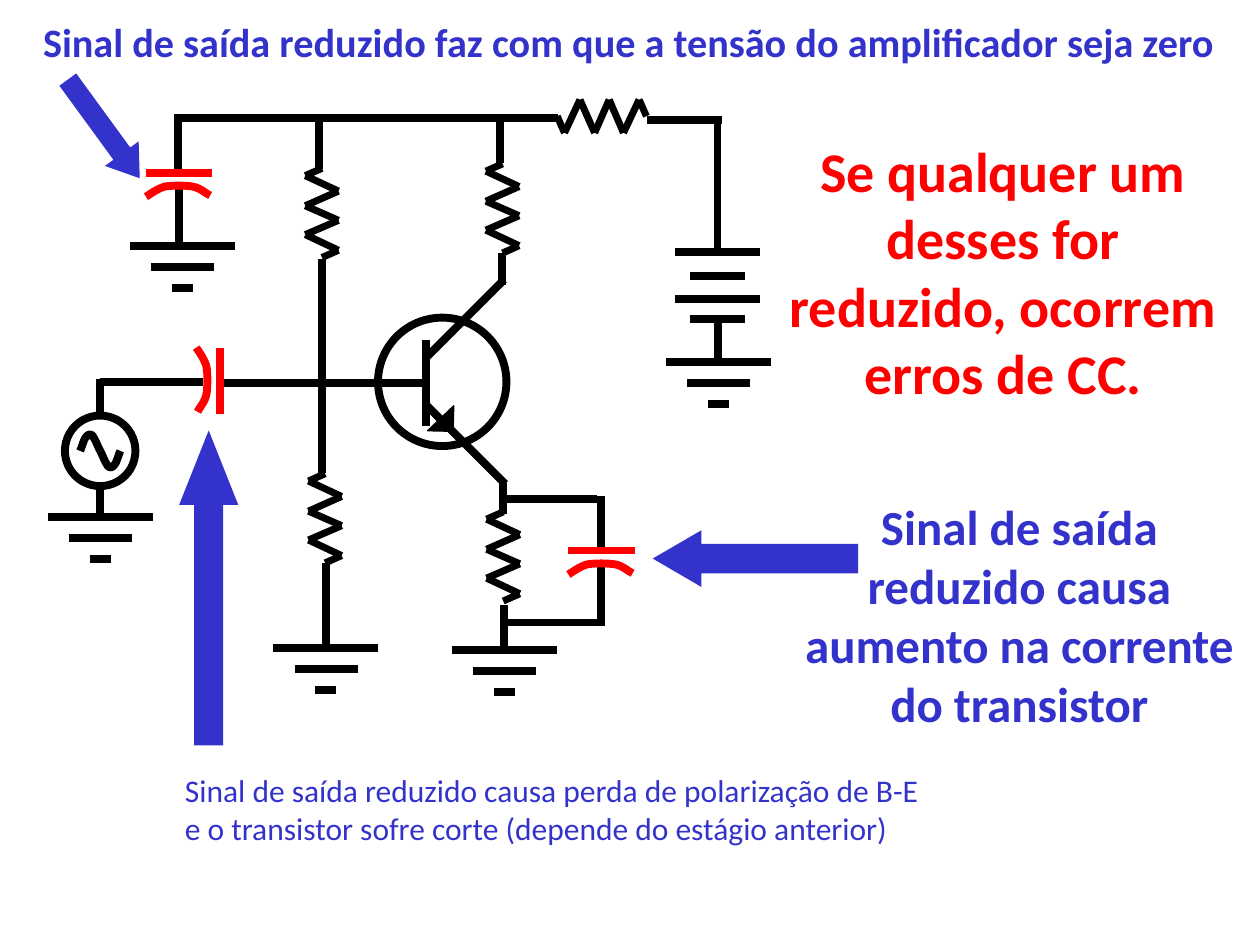
from itertools import pairwise
from lxml.etree import SubElement
from pptx import Presentation
from pptx.dml.color import RGBColor
from pptx.enum.shapes import MSO_CONNECTOR, MSO_SHAPE
from pptx.enum.text import MSO_ANCHOR, MSO_AUTO_SIZE, PP_ALIGN
from pptx.oxml.ns import qn
from pptx.util import Pt

INK = {"wire": "000000", "alert": "FF0000", "note": "3333CC"}
ZIGZAG = [(10, 0), (0.5, 4.2), (19.4, 13), (0.5, 21.4), (19.4, 29.7),
          (0.5, 37.9), (19.4, 46.8), (10, 51)]
PLATE = [(0, 13.7), (1.4, 13), (5.8, 9.4), (10.8, 7.9), (15.1, 7.2),
         (22.3, 7.2), (26.6, 7.9), (31, 8.6), (34.6, 12.2), (36.7, 13)]
WAVE = [(0, 9.4), (0.9, 7.9), (2.2, 2.2), (3.4, 1.4), (4.4, 0), (5, 0),
        (5.8, 0), (6.6, 0), (7.4, 0.7), (8, 2.2), (9, 3.6), (10.6, 8), (11.5, 9.4)]


def color(name):
    """Return the named ink as an RGB colour."""
    return RGBColor.from_string(INK[name])


def apply(item, **values):
    """Set each given attribute on the item."""
    for name, value in values.items():
        setattr(item, name, value)


def stroke(line, ink, width):
    """Give a line its colour and width."""
    line.color.rgb = color(ink)
    line.width = Pt(width)


def wire(shapes, start, end, ink="wire", width=4.5):
    """Draw one straight line between two points."""
    part = shapes.add_connector(MSO_CONNECTOR.STRAIGHT, *map(Pt, start + end))
    stroke(part.line, ink, width)
    SubElement(part._element.spPr, qn("a:effectLst"))


def curve(shapes, knots, ink="wire"):
    """Draw a chain of cubic curves through knots and handles."""
    dots = [(Pt(x), Pt(y)) for x, y in knots]
    maker = shapes.build_freeform(*dots[0])
    maker.add_line_segments(dots[1:], close=False)
    part = maker.convert_to_shape()
    part.shadow.inherit = False
    part.fill.background()
    stroke(part.line, ink, 4.5)
    track = next(part._element.iter(qn("a:path")))
    steps = track.findall(qn("a:lnTo"))
    for i in range(0, len(steps), 3):
        bend = SubElement(track, qn("a:cubicBezTo"))
        for step in steps[i:i + 3]:
            bend.append(step[0])
            track.remove(step)


def ring(shapes, left, top, size):
    """Draw an unfilled circle."""
    part = shapes.add_shape(MSO_SHAPE.OVAL, *map(Pt, (left, top, size, size)))
    part.shadow.inherit = False
    part.fill.background()
    stroke(part.line, "wire", 4.5)


def solid(shapes, kind, box, ink, adjust=(), turn=0):
    """Draw a filled shape with no outline."""
    part = shapes.add_shape(kind, *map(Pt, box))
    part.shadow.inherit = False
    part.fill.solid()
    part.fill.fore_color.rgb = color(ink)
    part.line.fill.background()
    part.rotation = turn
    for i, value in enumerate(adjust):
        part.adjustments[i] = value
    return part


def ground(shapes, mid, top):
    """Draw a ground symbol hanging from its top centre."""
    for row, half in enumerate((30, 18, 6)):
        y = top + 12 * row
        wire(shapes, (mid - half, y), (mid + half, y))


def resist(shapes, left, top, flat=False):
    """Draw a resistor zigzag, upright or flat."""
    dots = [(left + v, top + 19.4 - u) if flat else (left + u, top + v)
            for u, v in ZIGZAG]
    for start, end in pairwise(dots):
        wire(shapes, start, end, width=4)


def cap(shapes, left, top, side=False):
    """Draw a capacitor, its curved plate below or to the left."""
    def place(u, v):
        return (left - v, top + u) if side else (left + u, top + v)
    wire(shapes, place(0, 0), place(38, 0), "alert")
    curve(shapes, [place(u, v) for u, v in PLATE], "alert")


def cell(shapes, mid, top):
    """Draw the battery with its leads and ground."""
    for half, drop in ((24.1, 0), (15.5, 13.4), (24.1, 26.6), (15.5, 38.2)):
        wire(shapes, (mid - half, top + drop), (mid + half, top + drop))
    wire(shapes, (mid + 0.3, top + 40.3), (mid + 0.3, top + 63))
    wire(shapes, (mid, top - 77), (mid, top))
    ground(shapes, mid + 0.6, top + 62.6)


def source(shapes, left, top):
    """Draw the signal source with its ground."""
    ring(shapes, left, top, 40.3)
    mid = left + 20.2, top + 20.2
    for sign in (-1, 1):
        curve(shapes, [(mid[0] + sign * (11.5 - u), mid[1] + sign * (9.4 - v))
                       for u, v in WAVE])
    wire(shapes, (mid[0] - 0.4, top - 21), (mid[0] - 0.4, top - 1.4))
    wire(shapes, (mid[0], top + 40.3), (mid[0], top + 59.8))
    ground(shapes, mid[0] - 0.1, top + 57.7)


def triode(shapes, left, top):
    """Draw the transistor in its circle."""
    ring(shapes, left, top, 73.4)
    for start, end in (((27.4, 13), (27.4, 62)), ((27.4, 23), (72, -21.6)),
                       ((28, 50.4), (72.7, 95))):
        wire(shapes, *[(left + x, top + y) for x, y in (start, end)])
    tip = solid(shapes, MSO_SHAPE.RIGHT_TRIANGLE,
                (left + 28.5, top + 50.2, 14.6, 14.6), "wire", turn=271.3)
    stroke(tip.line, "wire", 0.75)


def circuit(shapes):
    """Place the amplifier parts and join them."""
    for start, end in (((99.4, 67.2), (319, 67.2)), ((370, 68.6), (412.6, 68.6)),
                       ((101.5, 67), (101.5, 98.6)), ((102.5, 106.6), (102.5, 142.6)),
                       ((182.2, 67), (182.2, 96.5)), ((285.8, 67), (285.8, 93)),
                       ((183.8, 148.3), (183.8, 270)), ((287.1, 144.7), (287.1, 162.7)),
                       ((56.9, 218.2), (116, 218.2)), ((127.4, 218.9), (242.6, 218.9)),
                       ((186.5, 321.8), (186.5, 370)), ((287.3, 275.8), (287.3, 293.8)),
                       ((288, 345.6), (288, 370)), ((285.8, 285.1), (341.3, 285.1)),
                       ((288.7, 355.7), (344.2, 355.7)), ((343.6, 283.7), (343.6, 315.4)),
                       ((343.6, 321.8), (343.6, 357.8))):
        wire(shapes, start, end)
    for left, top in ((277.2, 93.6), (174, 96.2), (277.6, 292.5), (175.8, 270.7)):
        resist(shapes, left, top)
    resist(shapes, 318.4, 57, flat=True)
    for mid, top in ((104.1, 140.5), (186.3, 370.2), (288.1, 371.5)):
        ground(shapes, mid, top)
    cap(shapes, 83.4, 98.7)
    cap(shapes, 324.8, 314.6)
    cap(shapes, 125.9, 198.6, side=True)
    triode(shapes, 216, 181.5)
    cell(shapes, 410, 144.2)
    source(shapes, 37.1, 237.5)


def write(part, box, lines, size, ink, bold=True, align=PP_ALIGN.LEFT):
    """Place a text holder and fill it with one paragraph a line."""
    apply(part, **dict(zip(("left", "top", "width", "height"), map(Pt, box))))
    frame = part.text_frame
    apply(frame, word_wrap=False, auto_size=MSO_AUTO_SIZE.SHAPE_TO_FIT_TEXT,
          vertical_anchor=MSO_ANCHOR.TOP, margin_left=Pt(7.2), margin_right=Pt(7.2),
          margin_top=Pt(3.6), margin_bottom=Pt(3.6))
    frame.text = "\n".join(lines)
    for para in frame.paragraphs:
        para.alignment = align
        apply(para.font, name="Calibri", size=Pt(size), bold=bold)
        para.font.color.rgb = color(ink)


def notes(shapes):
    """Place the title, the remarks and their arrows."""
    write(shapes.title, (17.4, 6.5, 686.9, 35.3),
          ["Sinal de saída reduzido faz com que a tensão do amplificador seja zero"],
          23, "note")
    for box, lines, size, ink, bold, align in (
            ((443.6, 74.6, 259.2, 161.3),
             ["Se qualquer um", "desses for", "reduzido, ocorrem", "erros de CC."],
             32, "alert", True, PP_ALIGN.CENTER),
            ((448.9, 280.3, 267.1, 141.8),
             ["Sinal de saída", "reduzido causa", "aumento na corrente", "do transistor"],
             28, "note", True, PP_ALIGN.CENTER),
            ((98.6, 437.3, 438.5, 50.4),
             ["Sinal de saída reduzido causa perda de polarização de B-E",
              "e o transistor sofre corte (depende do estágio anterior)"],
             18, "note", False, PP_ALIGN.LEFT)):
        write(shapes.add_textbox(0, 0, 0, 0), box, lines, size, ink, bold, align)
    for kind, box, adjust, turn in (
            (MSO_SHAPE.LEFT_ARROW, (373, 303, 117.4, 32.4), (0.52, 0.86), 0),
            (MSO_SHAPE.UP_ARROW, (102.4, 246, 33.8, 180), (0.49, 1.26), 0),
            (MSO_SHAPE.RIGHT_ARROW, (24.4, 61.8, 69.8, 23.8), (0.5, 0.73), 53.9)):
        solid(shapes, kind, box, "note", adjust, turn)


def main():
    """Build and save the slide."""
    deck = Presentation()
    apply(deck, slide_width=Pt(720), slide_height=Pt(540))
    shapes = deck.slides.add_slide(deck.slide_layouts[5]).shapes
    circuit(shapes)
    notes(shapes)
    deck.save("out.pptx")


if __name__ == "__main__":
    main()
